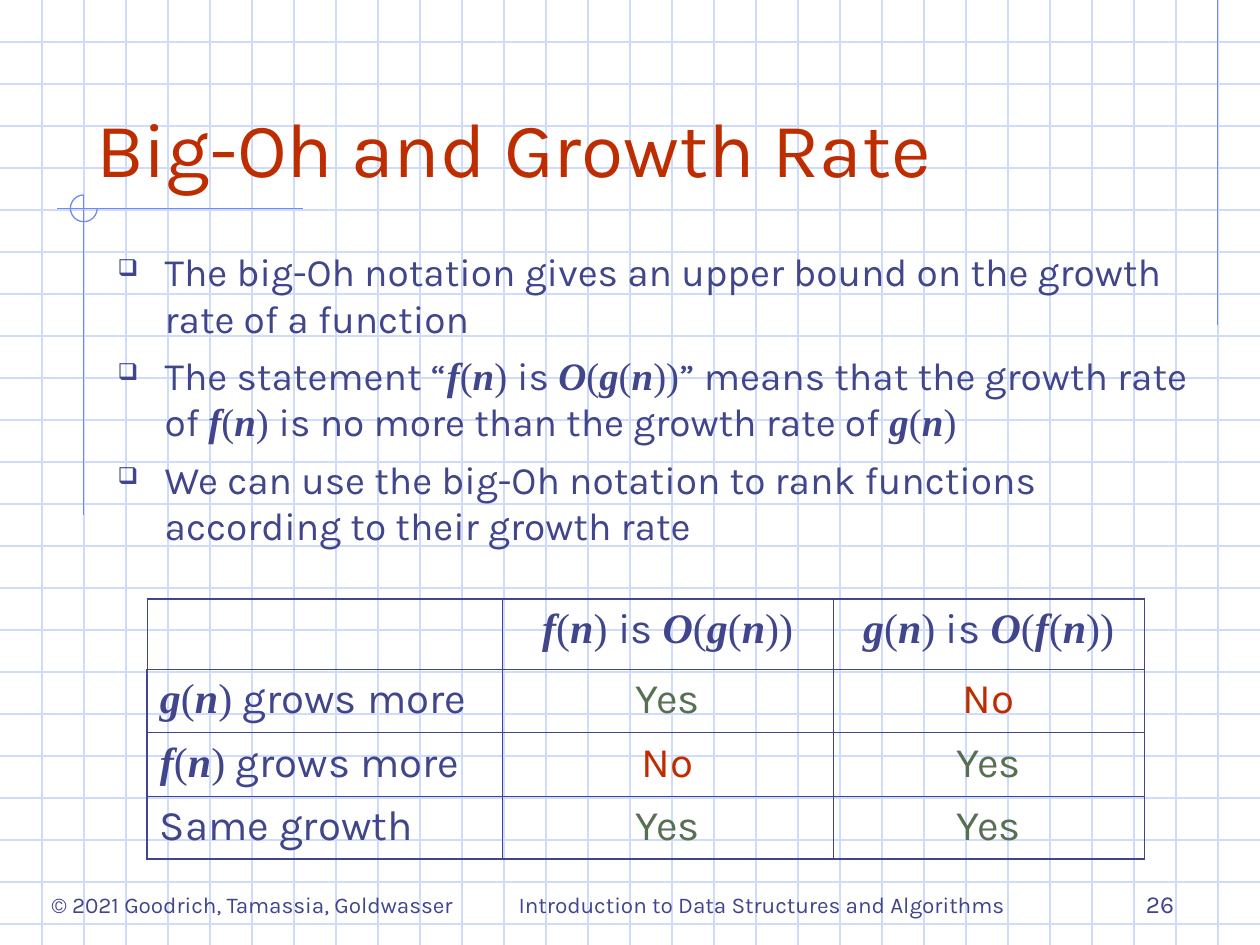
from itertools import groupby

from lxml import etree
from pptx import Presentation, util as u
from pptx.dml.color import RGBColor
from pptx.enum import shapes, text
from pptx.oxml import ns

NAVY = RGBColor(0x40, 0x45, 0x8C)
RED = RGBColor(0xBE, 0x2D, 0x00)
GREEN = RGBColor(0x57, 0x70, 0x52)
GRID = RGBColor(0xCF, 0xDB, 0xFD)
BLUE = RGBColor(0x6F, 0x89, 0xF7)
LEFT, CENTER, RIGHT = text.PP_ALIGN.LEFT, text.PP_ALIGN.CENTER, text.PP_ALIGN.RIGHT
TOP, BOTTOM = text.MSO_ANCHOR.TOP, text.MSO_ANCHOR.BOTTOM

prs = Presentation()
prs.slide_width, prs.slide_height = u.Cm(25.4), u.Cm(19.05)
s = prs.slides.add_slide(prs.slide_layouts[6])


def add_line(x1, y1, x2, y2, color):
    ln = s.shapes.add_connector(shapes.MSO_CONNECTOR.STRAIGHT,
                                u.Cm(x1), u.Cm(y1), u.Cm(x2), u.Cm(y2))
    ln.line.color.rgb = color
    ln.line.width = u.Pt(0.75)
    etree.SubElement(ln._element.spPr, ns.qn("a:effectLst"))


def add_runs(p, content, size, color):
    """Parts between $ signs are math: serif, with bold italic letters."""
    for i, part in enumerate(content.split("$")):
        math = i % 2 == 1
        pieces = groupby(part, str.isalpha) if math else [(False, part)]
        for letters, chars in pieces:
            piece = "".join(chars)
            if not piece:
                continue
            r = p.add_run()
            r.text = piece
            r.font.name = "Times New Roman" if math else "Karla"
            r.font.size = u.Pt(size)
            r.font.bold = r.font.italic = letters
            r.font.color.rgb = color


# Background grid, three squares to the inch
step = 2.54 / 3
for i in range(1, 23):
    add_line(0, i * step, 25.4, i * step, GRID)
for i in range(1, 30):
    add_line(i * step, 0, i * step, 19.05, GRID)

# Accent lines and the open circle where they cross
add_line(24.55, 0, 24.55, 6.55, BLUE)
add_line(6.1, 4.21, 1.14, 4.21, BLUE)
add_line(1.69, 3.93, 1.69, 10.38, BLUE)
sp = s.shapes.add_shape(shapes.MSO_SHAPE.ARC, u.Cm(1.42), u.Cm(3.93), u.Cm(0.54), u.Cm(0.54))
sp.adjustments[0], sp.adjustments[1] = 0, 162
sp.fill.background()
sp.line.color.rgb = BLUE
sp.line.width = u.Pt(0.75)
sp.shadow.inherit = False

# Title, body and footers: box, anchor, alignment, size, colour, paragraphs
bullets = [
    "The big-Oh notation gives an upper bound on the growth rate of a function",
    "The statement “$f(n) $is $O(g(n))$” means that the growth rate of "
    "$f(n) $is no more than the growth rate of $g(n)$",
    "We can use the big-Oh notation to rank functions according to their growth rate",
]
boxes = [
    ((1.69, 0.85, 21.59, 3.17), BOTTOM, LEFT, 44, RED, ["Big-Oh and Growth Rate"]),
    ((2.12, 4.87, 22.23, 7.2), TOP, LEFT, 22.2, NAVY, bullets),
    ((0.21, 17.36, 9.74, 1.27), BOTTOM, CENTER, 12.9, NAVY,
     ["© 2021 Goodrich, Tamassia, Goldwasser"]),
    ((9.95, 17.36, 10.8, 1.27), BOTTOM, CENTER, 12.9, NAVY,
     ["Introduction to Data Structures and Algorithms"]),
    ((18.63, 17.36, 5.29, 1.27), BOTTOM, RIGHT, 14, NAVY, ["26"]),
]
for box, anchor, align, size, color, lines in boxes:
    tf = s.shapes.add_textbox(*map(u.Cm, box)).text_frame
    tf.word_wrap = True
    tf.vertical_anchor = anchor
    for i, line in enumerate(lines):
        p = tf.add_paragraph() if i else tf.paragraphs[0]
        p.alignment = align
        if lines is bullets:
            pPr = p._p.get_or_add_pPr()
            pPr.set("marL", str(u.Cm(0.95)))
            pPr.set("indent", str(-u.Cm(0.95)))
            clr = etree.SubElement(pPr, ns.qn("a:buClr"))
            etree.SubElement(clr, ns.qn("a:srgbClr"), val=str(NAVY))
            etree.SubElement(pPr, ns.qn("a:buSzPct"), val="60000")
            etree.SubElement(pPr, ns.qn("a:buChar"), char="❑")
            if i:
                p.space_before = u.Pt(6)
        add_runs(p, line, size, color)

# Growth rate table
rows = [
    ["", "$f(n) $is $O(g(n))$", "$g(n) $is $O(f(n))$"],
    ["$g(n) $grows more", "Yes", "No"],
    ["$f(n) $grows more", "No", "Yes"],
    ["Same growth", "Yes", "Yes"],
]
tbl = s.shapes.add_table(4, 3, u.Cm(2.97), u.Cm(12.07), u.Cm(20.1), u.Cm(5.25)).table
tbl.first_row = tbl.horz_banding = False
for col, width in zip(tbl.columns, (7.16, 6.66, 6.28)):
    col.width = u.Cm(width)
for row, height in zip(tbl.rows, (1.42, 1.28, 1.28, 1.27)):
    row.height = u.Cm(height)
for i, row in enumerate(rows):
    for j, content in enumerate(row):
        cell = tbl.cell(i, j)
        # Thicker rule around the outside
        outer = {"L": j == 0 and i > 0, "R": j == 2, "T": i == 0, "B": i == 3}
        tcPr = cell._tc.get_or_add_tcPr()
        for side, thick in outer.items():
            ln = etree.SubElement(tcPr, ns.qn("a:ln" + side), w=str(u.Pt(1.08 if thick else 0.45)))
            fill = etree.SubElement(ln, ns.qn("a:solidFill"))
            etree.SubElement(fill, ns.qn("a:srgbClr"), val=str(NAVY))
        cell.fill.background()
        p = cell.text_frame.paragraphs[0]
        p.alignment = CENTER if j else LEFT
        add_runs(p, content, 24, {"Yes": GREEN, "No": RED}.get(content, NAVY))

prs.save("out.pptx")
